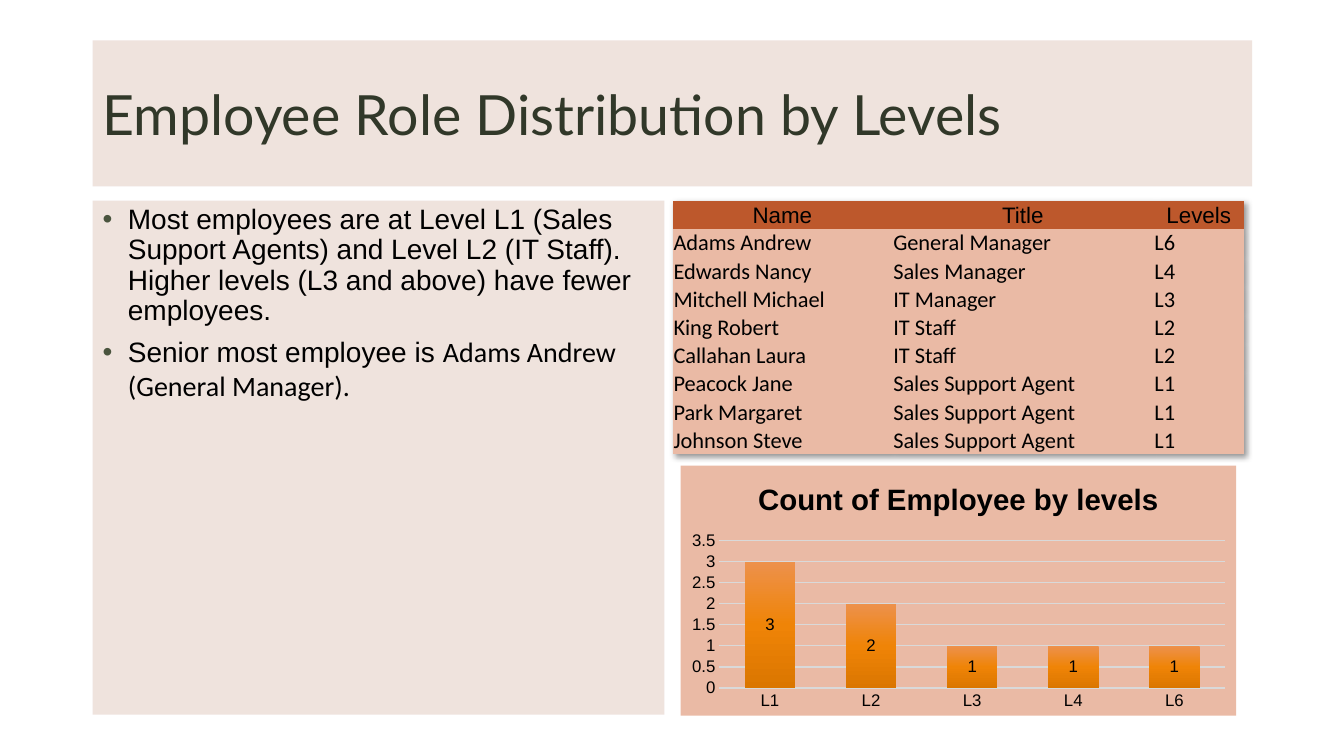
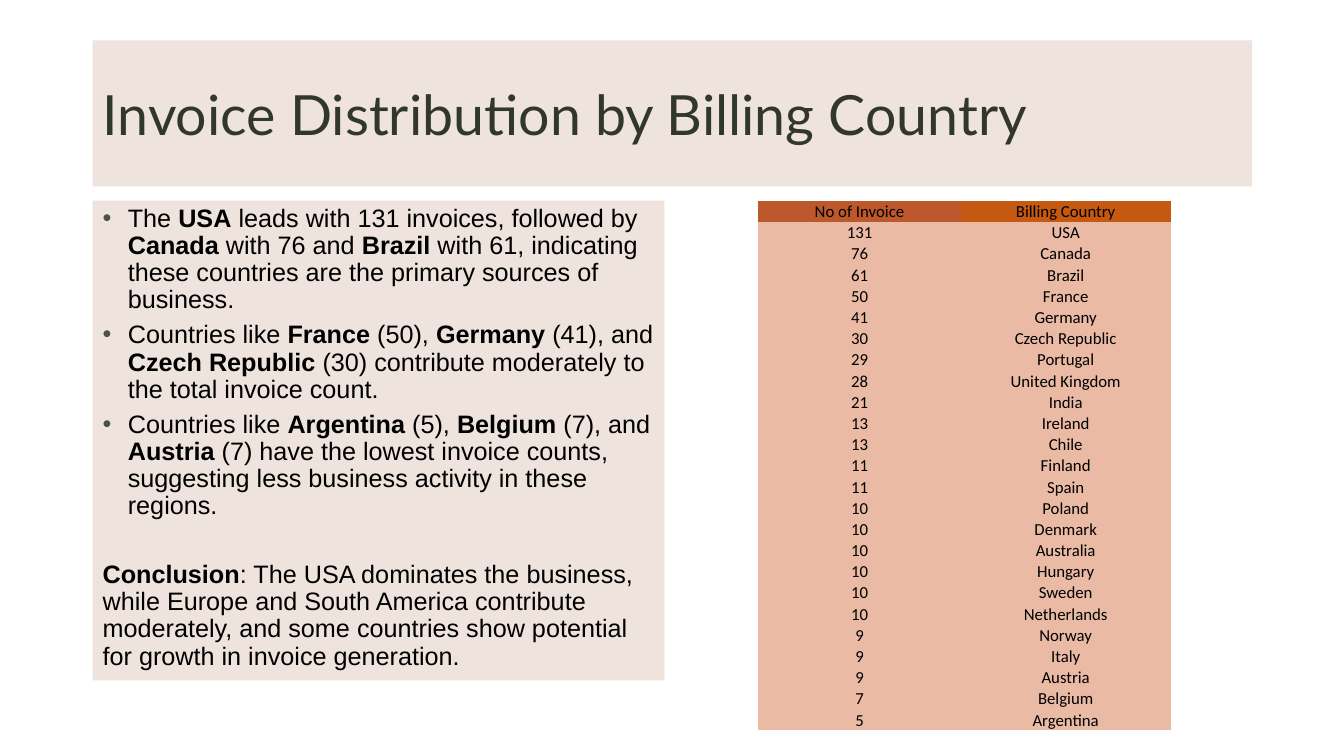
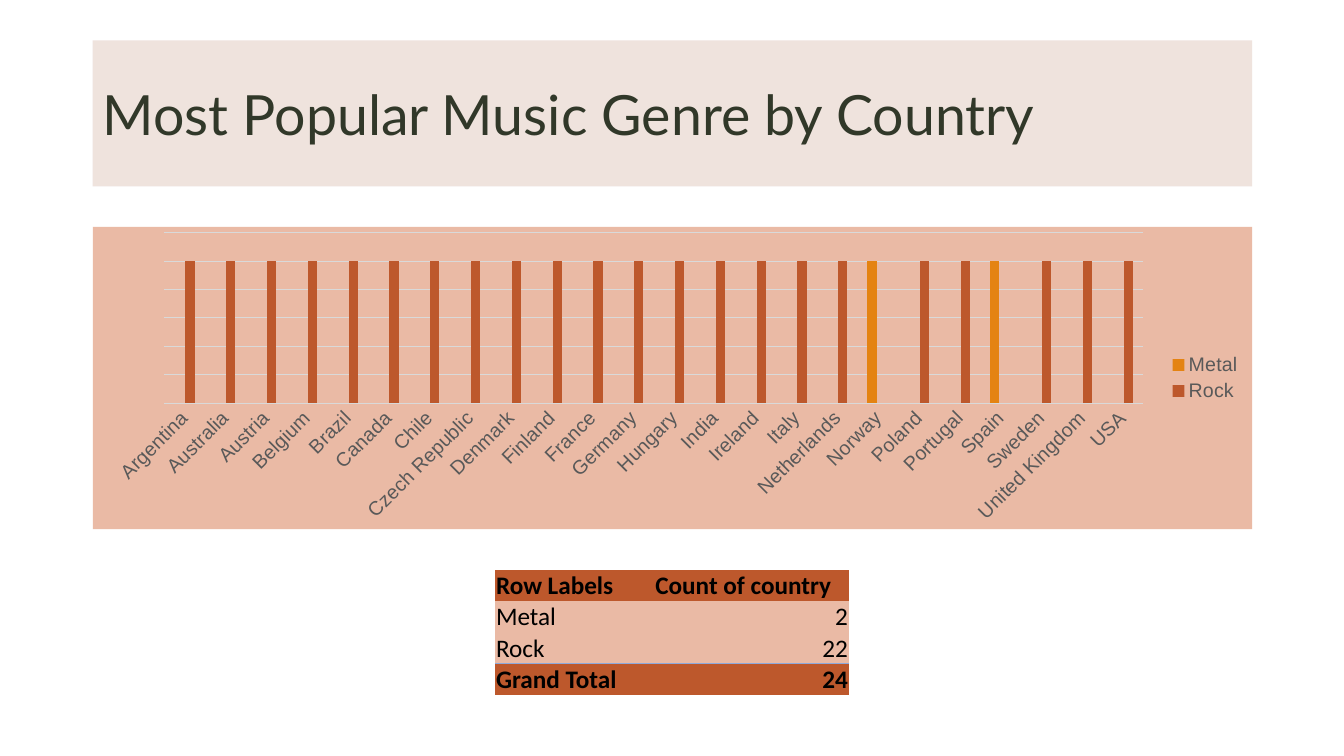
from pptx import Presentation, oxml
from pptx import util as u
from pptx.chart.data import CategoryChartData
from pptx.dml.color import RGBColor
from pptx.enum import chart as charts
from pptx.enum import text
from pptx.oxml.ns import nsdecls, qn

BLACK = RGBColor(0x00, 0x00, 0x00)
GREY = RGBColor(0x59, 0x59, 0x59)
GRID = RGBColor(0xD9, 0xD9, 0xD9)
DARK_GREEN = RGBColor(0x31, 0x38, 0x29)
BULLET_GREEN = RGBColor(0x4A, 0x54, 0x3E)
BEIGE = RGBColor(0xEB, 0xDC, 0xD5)
PEACH = RGBColor(0xEA, 0xBA, 0xA5)
RUST = RGBColor(0xBD, 0x58, 0x2C)
BURNT = RGBColor(0xC6, 0x59, 0x11)
ORANGE = RGBColor(0xE4, 0x83, 0x12)
RULE_BLUE = RGBColor(0x8E, 0xA9, 0xDB)
BAR_GRADIENT = [(0, "ED914C"), (50, "EF8407"), (100, "DB7600")]

LEFT, FULL_WIDTH, HALF_WIDTH = 0.92, 11.5, 5.67
BODY_TOP = 1.99
NO_STYLE = "{2D5ABB26-0587-4C30-8999-92F81FD0307C}"
ALIGN = {"l": text.PP_ALIGN.LEFT, "c": text.PP_ALIGN.CENTER, "r": text.PP_ALIGN.RIGHT}


def element(tag, inner="", attributes=""):
    return oxml.parse_xml(f"<{tag} {nsdecls('a', 'c')} {attributes}>{inner}</{tag}>")


def set_font(font, size, color=BLACK, name="Arial", bold=None):
    font.size, font.name, font.bold = u.Pt(size), name, bold
    font.color.rgb = color


class Builder:
    def __init__(self):
        self.deck = Presentation()
        self.deck.slide_width = u.Inches(13.33)
        self.deck.slide_height = u.Inches(7.5)
        self.page = None

    def new_page(self, title):
        self.page = self.deck.slides.add_slide(self.deck.slide_layouts[6])
        frame = self.panel(0.4, FULL_WIDTH, 1.45)
        frame.vertical_anchor = text.MSO_ANCHOR.MIDDLE
        para = frame.paragraphs[0]
        para.text = title
        set_font(para.font, 39.6, DARK_GREEN, "Lato")

    def panel(self, top, width, height):
        box = self.page.shapes.add_textbox(*map(u.Inches, (LEFT, top, width, height)))
        box.fill.solid()
        box.fill.fore_color.rgb = BEIGE
        color = box._element.spPr.find(".//" + qn("a:srgbClr"))
        color.append(element("a:alpha", attributes='val="80000"'))
        box.text_frame.word_wrap = True
        return box.text_frame

    def body(self, height, size, bullets, conclusion=None):
        frame = self.panel(BODY_TOP, HALF_WIDTH, height)
        for index, spans in enumerate(bullets):
            para = frame.paragraphs[0] if index == 0 else frame.add_paragraph()
            self.fill_paragraph(para, spans, size)
            self.add_bullet(para)
        if conclusion:
            para = frame.add_paragraph()
            self.fill_paragraph(para, conclusion, size)
            para.space_before = u.Pt(1.65 * size)
        return frame

    def fill_paragraph(self, para, marked, size):
        for index, words in enumerate(marked.split("*")):
            if words:
                span = para.add_run()
                span.text = words
                if index % 2:
                    span.font.bold = True
        para.line_spacing = 0.9
        para.space_before = u.Pt(0.3 * size)
        set_font(para.font, size)

    def add_bullet(self, para):
        props = para._p.get_or_add_pPr()
        props.set("marL", str(u.Inches(0.25)))
        props.set("indent", str(u.Inches(-0.25)))
        font = props.find(qn("a:defRPr"))
        font.addprevious(element("a:buClr", f'<a:srgbClr val="{BULLET_GREEN}"/>'))
        font.addprevious(element("a:buFont", attributes='typeface="Arial"'))
        font.addprevious(element("a:buChar", attributes='char="•"'))

    def table(self, left, top, widths, heights, rows, size, aligns, head_aligns,
              head_fills, head_font="Calibri", bold_rows=(), ruled_row=None):
        frame = self.page.shapes.add_table(
            len(rows), len(widths),
            *map(u.Inches, (left, top, sum(widths), sum(heights))))
        table = frame.table
        table.first_row = table.horz_banding = False
        props = table._tbl.tblPr
        props.find(qn("a:tableStyleId")).text = NO_STYLE
        for column, width in zip(table.columns, widths):
            column.width = u.Inches(width)
        for r, (row, height) in enumerate(zip(rows, heights)):
            table.rows[r].height = u.Inches(height)
            for c, value in enumerate(row):
                cell = table.cell(r, c)
                cell.margin_left = cell.margin_right = cell.margin_top = u.Inches(0.01)
                cell.margin_bottom = 0
                cell.vertical_anchor = text.MSO_ANCHOR.BOTTOM
                cell.fill.solid()
                dark = r == 0 or r in bold_rows
                cell.fill.fore_color.rgb = head_fills[c] if dark else PEACH
                if ruled_row is not None:
                    self.edge(cell, "a:lnB", r + 1 == ruled_row)
                    self.edge(cell, "a:lnT", r == ruled_row)
                para = cell.text_frame.paragraphs[0]
                para.text = str(value)
                para.alignment = ALIGN[(aligns if r else head_aligns)[c]]
                set_font(para.font, size, name="Calibri" if r else head_font,
                         bold=r in bold_rows)
        return table

    def edge(self, cell, side, drawn):
        paint = "<a:noFill/>"
        if drawn:
            paint = f'<a:solidFill><a:srgbClr val="{RULE_BLUE}"/></a:solidFill>'
        line = element(side, paint, f'w="{u.Pt(0.5)}"')
        cell._tc.get_or_add_tcPr().insert(0, line)

    def cast_shadow(self, table):
        shadow = ('<a:outerShdw blurRad="50800" dist="38100" dir="2700000" algn="tl">'
                  '<a:srgbClr val="000000"><a:alpha val="40000"/></a:srgbClr>'
                  '</a:outerShdw>')
        table._tbl.tblPr.insert(0, element("a:effectLst", shadow))

    def chart(self, kind, place, categories, series, size, label_color, gap, overlap,
              maximum, step):
        data = CategoryChartData()
        data.categories = categories
        for name, values in series:
            data.add_series(name, values)
        chart = self.page.shapes.add_chart(kind, *map(u.Inches, place), data).chart
        set_font(chart.font, size, label_color)
        paint = (f'<a:solidFill><a:srgbClr val="{PEACH}"/></a:solidFill>'
                 '<a:ln><a:noFill/></a:ln>')
        chart._chartSpace.chart.addnext(element("c:spPr", paint))
        chart.has_title = chart.has_legend = False
        plot = chart.plots[0]
        plot.vary_by_categories = False
        plot.gap_width, plot.overlap = gap, overlap
        for axis in (chart.category_axis, chart.value_axis):
            axis.major_tick_mark = axis.minor_tick_mark = charts.XL_TICK_MARK.NONE
            set_font(axis.tick_labels.font, size, label_color)
        values = chart.value_axis
        values.minimum_scale, values.maximum_scale, values.major_unit = 0, maximum, step
        values.format.line.fill.background()
        for lined in (chart.category_axis, values.major_gridlines):
            lined.format.line.color.rgb = GRID
            lined.format.line.width = u.Pt(0.75)
        return chart

    def place_part(self, part, index, fractions, inner=False):
        for old in part.findall(qn("c:layout")):
            part.remove(old)
        rules = '<c:layoutTarget val="inner"/>' if inner else ""
        rules += '<c:xMode val="edge"/><c:yMode val="edge"/>'
        rules += "".join(f'<c:{key} val="{value}"/>' for key, value in zip("xywh", fractions))
        part.insert(index, element("c:layout", f"<c:manualLayout>{rules}</c:manualLayout>"))


def add_levels(builder):
    builder.new_page("Employee Role Distribution by Levels")
    frame = builder.body(5.1, 20, [
        "Most employees are at Level L1 (Sales Support Agents) and Level L2 (IT Staff). "
        "Higher levels (L3 and above) have fewer employees.",
        "Senior most employee is "])
    senior = frame.paragraphs[1]
    senior.line_spacing = 1.0
    span = senior.add_run()
    span.text = "Adams Andrew (General Manager)."
    span.font.name = "Calibri"

    staff = [
        ("Name", "Title", "Levels"),
        ("Adams Andrew", "General Manager", "L6"),
        ("Edwards Nancy", "Sales Manager", "L4"),
        ("Mitchell Michael", "IT Manager", "L3"),
        ("King Robert", "IT Staff", "L2"),
        ("Callahan Laura", "IT Staff", "L2"),
        ("Peacock Jane", "Sales Support Agent", "L1"),
        ("Park Margaret", "Sales Support Agent", "L1"),
        ("Johnson Steve", "Sales Support Agent", "L1"),
    ]
    table = builder.table(6.67, BODY_TOP, [2.18, 2.59, 0.9], [0.26] + [0.28] * 8, staff,
                          16, "lll", "ccc", [RUST] * 3, head_font="Arial")
    builder.cast_shadow(table)

    chart = builder.chart(
        charts.XL_CHART_TYPE.COLUMN_STACKED, (6.75, 4.62, 5.51, 2.48),
        ["L1", "L2", "L3", "L4", "L6"], [("Series 1", (3, 2, 1, 1, 1))],
        12, BLACK, 100, 100, 3.5, 0.5)
    builder.place_part(chart._chartSpace.chart.plotArea, 0, (0.07, 0.3, 0.91, 0.59),
                       inner=True)
    chart.category_axis.format.line.width = u.Pt(1)
    chart.has_title = True
    para = chart.chart_title.text_frame.paragraphs[0]
    para.text = "Count of Employee by levels"
    set_font(para.font, 21, bold=True)
    builder.place_part(chart.chart_title._element, 1, (0.13, 0.04))
    stops = "".join(f'<a:gs pos="{place * 1000}"><a:srgbClr val="{color}"/></a:gs>'
                    for place, color in BAR_GRADIENT)
    bars = chart.plots[0].series[0]
    bars._element.get_or_add_spPr().append(element(
        "a:gradFill", f'<a:gsLst>{stops}</a:gsLst><a:lin ang="5400000" scaled="0"/>'))
    labels = bars.data_labels
    labels.show_value = True
    labels.position = charts.XL_LABEL_POSITION.CENTER
    set_font(labels.font, 12)


def add_invoices(builder, invoices):
    builder.new_page("Invoice Distribution by Billing Country")
    builder.body(4.76, 18, [
        "The *USA* leads with 131 invoices, followed by *Canada* with 76 and *Brazil* "
        "with 61, indicating these countries are the primary sources of business.",
        "Countries like *France* (50), *Germany* (41), and *Czech Republic* (30) "
        "contribute moderately to the total invoice count.",
        "Countries like *Argentina* (5), *Belgium* (7), and *Austria* (7) have the lowest "
        "invoice counts, suggesting less business activity in these regions."],
        "*Conclusion*: The USA dominates the business, while Europe and South America "
        "contribute moderately, and some countries show potential for growth in invoice "
        "generation.")
    rows = [("No of Invoice", "Billing Country")] + invoices
    builder.table(7.52, BODY_TOP, [2.01, 2.08], [0.21] * len(rows), rows, 12,
                  "cc", "cc", [RUST, BURNT])


def add_genres(builder, countries):
    builder.new_page("Most Popular Music Genre by Country")
    rows = [("Row Labels", "Count of country"), ("Metal", 2), ("Rock", 22),
            ("Grand Total", 24)]
    builder.table(4.91, 5.65, [1.58, 1.93], [0.31] * 4, rows, 18, "lr", "ll",
                  [RUST] * 2, bold_rows=(0, 3), ruled_row=3)
    metal_countries = ("Norway", "Spain")
    metal = [100 if country in metal_countries else None for country in countries]
    rock = [None if country in metal_countries else 100 for country in countries]
    chart = builder.chart(
        charts.XL_CHART_TYPE.COLUMN_CLUSTERED, (LEFT, 2.25, FULL_WIDTH, 3),
        countries, [("Metal", metal), ("Rock", rock)],
        14, GREY, 219, -27, 120, 20)
    chart.value_axis.visible = False
    chart.category_axis._element.txPr.find(qn("a:bodyPr")).set("rot", "-2700000")
    for series, color in zip(chart.plots[0].series, (ORANGE, RUST)):
        series.format.fill.solid()
        series.format.fill.fore_color.rgb = color
    chart.has_legend = True
    chart.legend.position = charts.XL_LEGEND_POSITION.RIGHT
    chart.legend.include_in_layout = False
    set_font(chart.legend.font, 14, GREY)


def main():
    invoices = [
        (131, "USA"), (76, "Canada"), (61, "Brazil"), (50, "France"), (41, "Germany"),
        (30, "Czech Republic"), (29, "Portugal"), (28, "United Kingdom"), (21, "India"),
        (13, "Ireland"), (13, "Chile"), (11, "Finland"), (11, "Spain"), (10, "Poland"),
        (10, "Denmark"), (10, "Australia"), (10, "Hungary"), (10, "Sweden"),
        (10, "Netherlands"), (9, "Norway"), (9, "Italy"), (9, "Austria"),
        (7, "Belgium"), (5, "Argentina"),
    ]
    countries = sorted(country for _, country in invoices)
    countries.remove("USA")
    countries.append("USA")
    builder = Builder()
    add_levels(builder)
    add_invoices(builder, invoices)
    add_genres(builder, countries)
    builder.deck.save("out.pptx")


if __name__ == "__main__":
    main()
